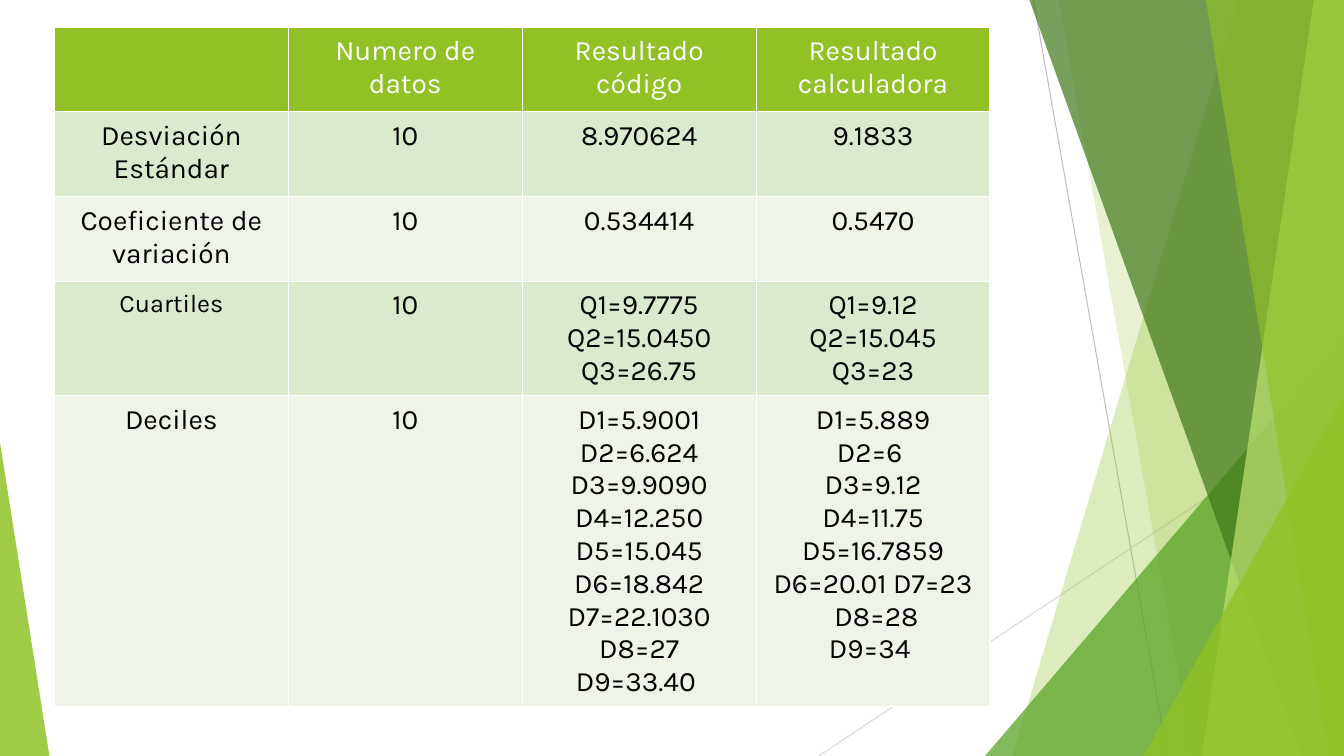
"""Build a slide with a table of statistical results beside green facets."""
from lxml import etree
from pptx import Presentation
from pptx import util as u
from pptx.dml.color import RGBColor
from pptx.enum import shapes, text
from pptx.oxml.ns import qn


def paint(fill, color, opacity=100):
    fill.solid()
    fill.fore_color.rgb = RGBColor.from_string(color)
    if opacity < 100:
        color_node = fill._xPr.find(qn("a:solidFill"))[0]
        etree.SubElement(color_node, qn("a:alpha"), val=str(opacity * 1000))


deck = Presentation()
deck.slide_width, deck.slide_height = u.Inches(13.33), u.Inches(7.5)
WIDTH, HEIGHT = deck.slide_width, deck.slide_height
page = deck.slides.add_slide(deck.slide_layouts[6])

rays = [
    (10.25, 0, 11.58, 7.5, "BFBFBF"),
    (13.33, 4.03, 8.12, 7.5, "D9D9D9"),
]
for *ends, color in rays:
    ray = page.shapes.add_connector(
        shapes.MSO_CONNECTOR.STRAIGHT, *[u.Inches(end) for end in ends])
    paint(ray.line.fill, color)
    ray.line.width = u.Pt(0.75)
    etree.SubElement(ray._element.spPr, qn("a:effectLst"))

# Each band runs to the right edge; each triangle stands on the bottom edge.
facets = [
    ("band", 12.28, 10.04, "90C226", 30),
    ("band", 10.5, 11.83, "90C226", 20),
    ("triangle", 9.77, 3.33, "54A021", 72),
    ("band", 10.21, 12.91, "3F7819", 70),
    ("band", 13.03, 11.92, "C0E474", 70),
    ("band", 11.96, 13.18, "90C226", 65),
    ("triangle", 11.34, 3.93, "90C226", 80),
    ("left triangle", 0, 4.39, "90C226", 85),
]
for kind, first, second, color, opacity in facets:
    if kind == "band":
        top_left, bottom_left = u.Inches(first), u.Inches(second)
        outline = page.shapes.build_freeform(top_left, 0)
        outline.add_line_segments(
            [(WIDTH, 0), (WIDTH, HEIGHT), (bottom_left, HEIGHT)], close=True)
        facet = outline.convert_to_shape()
    else:
        left, top = u.Inches(first), u.Inches(second)
        right = u.Inches(0.49) if kind == "left triangle" else WIDTH
        facet = page.shapes.add_shape(
            shapes.MSO_SHAPE.ISOSCELES_TRIANGLE,
            left, top, right - left, HEIGHT - top)
        facet.adjustments[0] = 0 if kind == "left triangle" else 1
    paint(facet.fill, color, opacity)
    facet.line.fill.background()
    facet.shadow.inherit = False

results = [
    ["", "Numero de datos", "Resultado código", "Resultado calculadora"],
    ["Desviación Estándar", "10", "8.970624", "9.1833"],
    ["Coeficiente de variación", "10", "0.534414", "0.5470"],
    ["Cuartiles", "10", "Q1=9.7775 Q2=15.0450 Q3=26.75",
     "Q1=9.12 Q2=15.045 Q3=23"],
    ["Deciles", "10",
     "D1=5.9001 D2=6.624 D3=9.9090 D4=12.250 D5=15.045 D6=18.842 "
     "D7=22.1030 D8=27 D9=33.40 ",
     "D1=5.889\nD2=6 \nD3=9.12\nD4=11.75 D5=16.7859 D6=20.01 D7=23\n"
     " D8=28\nD9=34 "],
]
ROWS, COLUMNS = len(results), len(results[0])
COLUMN_WIDTH, ROW_HEIGHT = u.Inches(2.32), u.Inches(0.84)
table = page.shapes.add_table(
    ROWS, COLUMNS, u.Inches(0.54), u.Inches(0.27),
    COLUMNS * COLUMN_WIDTH, ROWS * ROW_HEIGHT).table

for row, values in enumerate(results):
    band_color = "90C226" if row == 0 else ("EEF4E8", "DBE9CD")[row % 2]
    for column, value in enumerate(values):
        cell = table.cell(row, column)
        paint(cell.fill, band_color)
        cell.margin_left = cell.margin_right = u.Inches(0.17)
        cell.margin_top = cell.margin_bottom = u.Inches(0.08)
        cell.text_frame.text = value
        for para in cell.text_frame.paragraphs:
            para.alignment = text.PP_ALIGN.CENTER
            for span in para.runs:
                span.font.name = "Karla"
                span.font.size = u.Pt(18 if value == "Cuartiles" else 20)
                span.font.bold = False
                paint(span.font.fill, "FFFFFF" if row == 0 else "000000")

deck.save("out.pptx")
